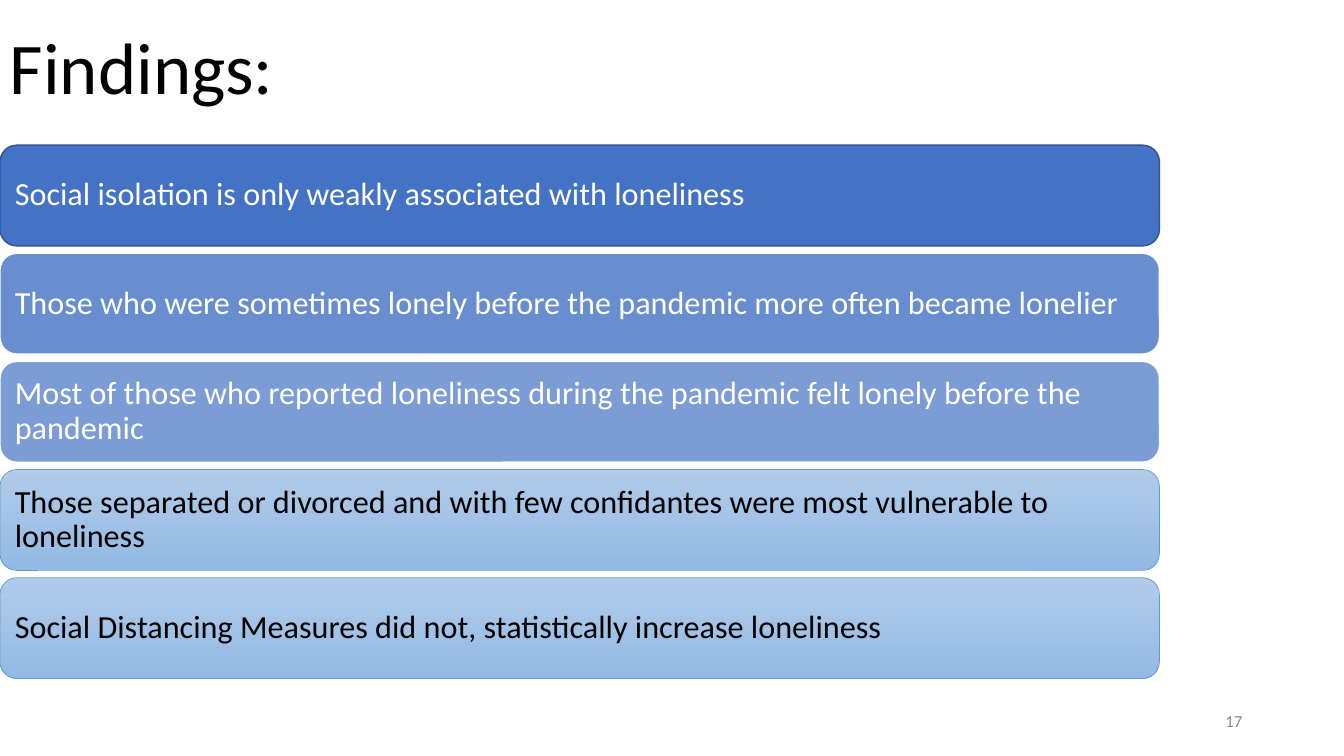
from dataclasses import dataclass

from lxml.etree import SubElement
from pptx import Presentation
from pptx.dml.color import RGBColor
from pptx.enum.shapes import MSO_SHAPE
from pptx.enum.text import MSO_ANCHOR, PP_ALIGN
from pptx.oxml.ns import qn
from pptx.shapes.autoshape import Shape
from pptx.slide import Slide
from pptx.text.text import TextFrame
from pptx.util import Inches, Pt

WHITE = RGBColor(0xFF, 0xFF, 0xFF)
BLACK = RGBColor(0x00, 0x00, 0x00)
GRAY = RGBColor(0x8C, 0x8C, 0x8C)
BLUE = RGBColor(0x44, 0x72, 0xC4)
NAVY = RGBColor(0x32, 0x54, 0x91)
SKY = RGBColor(0x5B, 0x9B, 0xD5)
PALE = RGBColor(0xB1, 0xCB, 0xE9)
SOFT = RGBColor(0x93, 0xB9, 0xE4)

FONT = "Calibri"
WIDTH = 11.5
TOP = 1.44
STEP = 1.073
HEIGHT = 1.0


@dataclass(frozen=True)
class Style:
    fill: tuple[RGBColor, ...]
    edge: RGBColor
    weight: float
    ink: RGBColor
    alpha: int = 100


@dataclass(frozen=True)
class Finding:
    text: str
    style: Style


LIGHT = Style((PALE, SOFT), SKY, 0.5, BLACK)

FINDINGS = [
    Finding("Social isolation is only weakly associated with loneliness",
            Style((BLUE,), NAVY, 1, WHITE)),
    Finding("Those who were sometimes lonely before the pandemic more often became lonelier",
            Style((BLUE,), WHITE, 1, WHITE, 80)),
    Finding("Most of those who reported loneliness during the pandemic felt lonely before the pandemic",
            Style((BLUE,), WHITE, 1, WHITE, 70)),
    Finding("Those separated or divorced and with few confidantes were most vulnerable to loneliness",
            LIGHT),
    Finding("Social Distancing Measures did not, statistically increase loneliness",
            LIGHT),
]


def write(frame: TextFrame, text: str, size: float, ink: RGBColor,
          align: PP_ALIGN = PP_ALIGN.LEFT, space: float = 0.9) -> None:
    frame.word_wrap = True
    frame.vertical_anchor = MSO_ANCHOR.MIDDLE
    para = frame.paragraphs[0]
    para.alignment = align
    para.line_spacing = space
    run = para.add_run()
    run.text = text
    run.font.name = FONT
    run.font.size = Pt(size)
    run.font.color.rgb = ink


def paint(shape: Shape, style: Style) -> None:
    shape.shadow.inherit = False
    shape.line.color.rgb = style.edge
    shape.line.width = Pt(style.weight)
    fill = shape.fill
    if len(style.fill) > 1:
        fill.gradient()
        fill.gradient_angle = 270
        for stop, color in zip(fill.gradient_stops, style.fill):
            stop.color.rgb = color
        return
    fill.solid()
    fill.fore_color.rgb = style.fill[0]
    if style.alpha < 100:
        color = shape._element.spPr.find(qn("a:solidFill"))[0]
        SubElement(color, qn("a:alpha"), val=str(style.alpha * 1000))


def add_bar(slide: Slide, top: float, item: Finding) -> None:
    bar = slide.shapes.add_shape(MSO_SHAPE.ROUNDED_RECTANGLE, Inches(0),
                                 Inches(top), Inches(WIDTH), Inches(HEIGHT))
    paint(bar, item.style)
    frame = bar.text_frame
    frame.margin_left = frame.margin_right = Inches(0.1)
    frame.margin_top = frame.margin_bottom = Inches(0.1)
    write(frame, item.text, 23, item.style.ink)


def main() -> None:
    deck = Presentation()
    deck.slide_width = Inches(13.33)
    deck.slide_height = Inches(7.5)
    slide = deck.slides.add_slide(deck.slide_layouts[6])

    title = slide.shapes.add_textbox(Inches(0), Inches(0.08), Inches(WIDTH), Inches(1.24))
    write(title.text_frame, "Findings:", 52, BLACK)

    for row, item in enumerate(FINDINGS):
        add_bar(slide, TOP + row * STEP, item)

    number = slide.shapes.add_textbox(Inches(9.42), Inches(6.95), Inches(3), Inches(0.4))
    write(number.text_frame, "17", 12, GRAY, PP_ALIGN.RIGHT, 1.0)

    deck.save("out.pptx")


if __name__ == "__main__":
    main()
